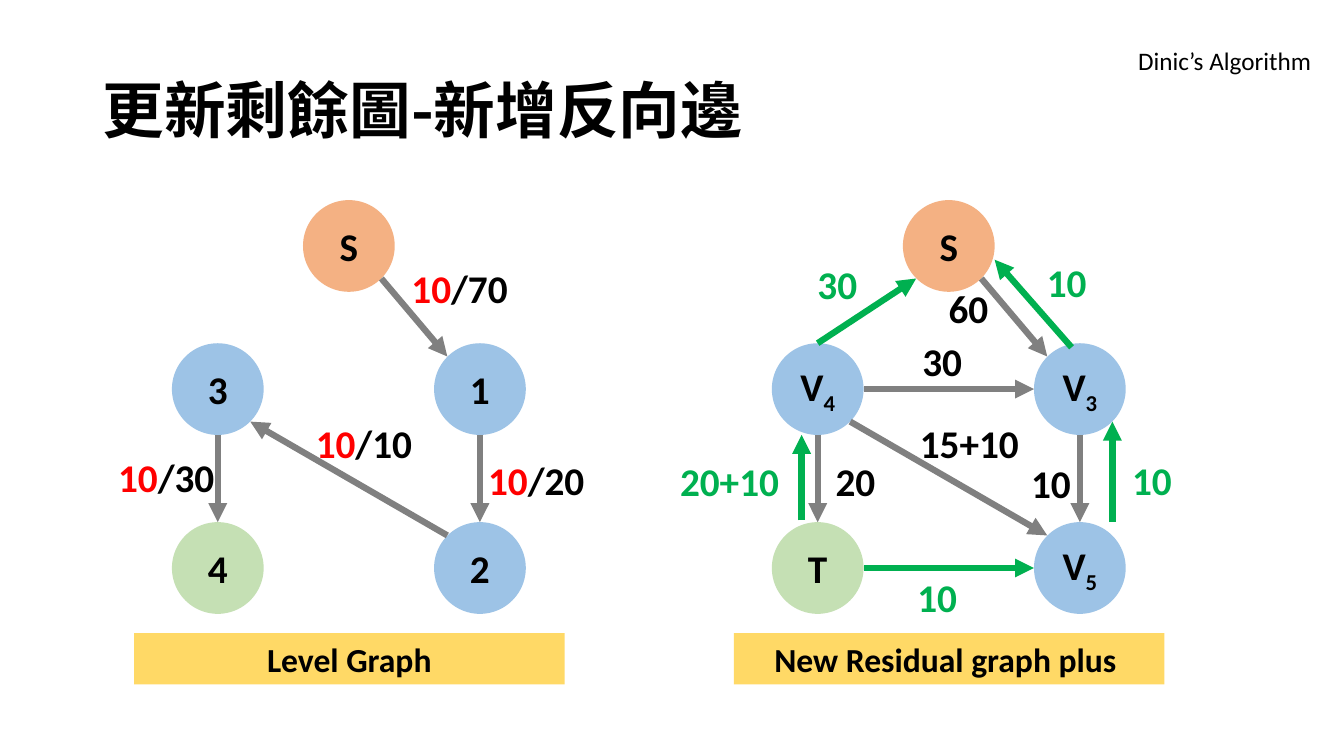
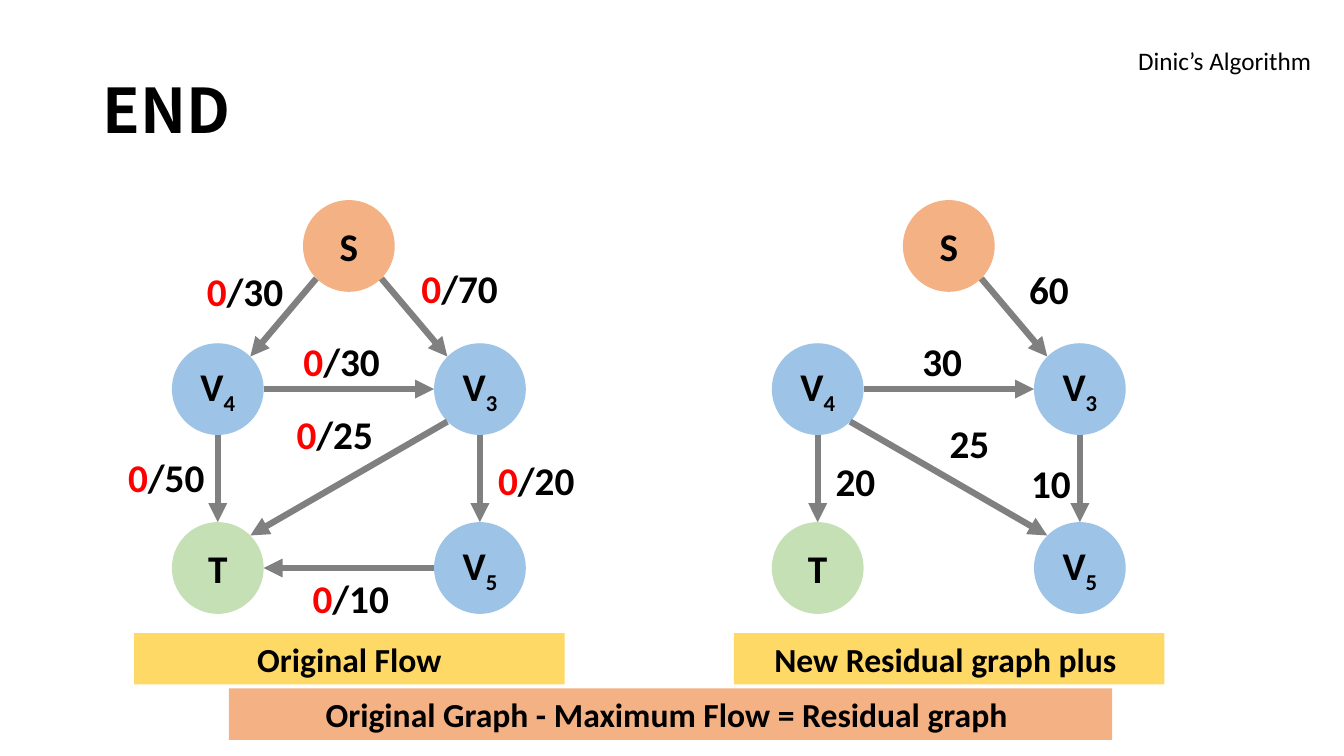
from dataclasses import dataclass

from lxml.etree import SubElement
from pptx import Presentation
from pptx.dml.color import RGBColor
from pptx.enum.shapes import MSO_CONNECTOR, MSO_SHAPE
from pptx.enum.text import MSO_ANCHOR, PP_ALIGN
from pptx.oxml.ns import qn
from pptx.util import Inches, Pt


@dataclass(frozen=True)
class Theme:
    """Colours, fonts and type sizes shared by the slides."""
    ink: str = "000000"
    flow: str = "FF0000"
    edge: str = "808080"
    back: str = "00B050"
    peach: str = "F4B183"
    blue: str = "9DC3E6"
    green: str = "C5E0B4"
    gold: str = "FFD966"
    font: str = "Calibri"
    head: str = "Noto Sans CJK SC"
    title: int = 44
    label: int = 28
    band: int = 24
    note: int = 18
    line: float = 4.5


T = Theme()
WIDE, HIGH = 13.33, 7.5

# Graph grid: the first node column of each panel, and the first node row.
PANELS = (2.16, 8.11)
TOP, COL, ROW, RADIUS = 2.44, 0.325, 0.355, 0.455
SPOTS = {"top": (4, 0), "left": (0, 4), "right": (8, 4),
         "sink": (0, 9), "base": (8, 9)}
FILLS = {"top": T.peach, "left": T.blue, "right": T.blue,
         "sink": T.green, "base": T.blue}

# Ports on a node, in radii from its centre.
N, S, W, E = (0, -1), (0, 1), (-1, 0), (1, 0)
NW, NE, SW, SE = (-0.71, -0.71), (0.71, -0.71), (-0.71, 0.71), (0.71, 0.71)

NAMES = ("S", "V4", "V3", "T", "V5")
LEVELS = ("S", "3", "1", "4", "2")

# Edge: start, port, end, port, label, label column, label row.
LEVEL = [
    ("top", SE, "right", NW, "10/70", 7.38, 1.19),
    ("right", S, "base", N, "10/20", 9.72, 6.53),
    ("base", NW, "left", SE, "10/10", 4.46, 5.5),
    ("left", S, "sink", N, "10/30", -1.57, 6.47),
]
FLOW = [
    ("top", SW, "left", NE, "0/30", 0.83, 1.27),
    ("top", SE, "right", NW, "0/70", 7.38, 1.19),
    ("left", E, "right", W, "0/30", 3.78, 3.22),
    ("right", SW, "sink", NE, "0/25", 3.57, 5.25),
    ("left", S, "sink", N, "0/50", -1.57, 6.47),
    ("right", S, "base", N, "0/20", 9.72, 6.53),
    ("base", W, "sink", E, "0/10", 4.06, 9.84),
]
REST = [
    ("left", E, "right", W, "30", 3.8, 3.22),
    ("left", S, "sink", N, "20", 1.15, 6.58),
    ("right", S, "base", N, "10", 7.12, 6.63),
]
BACK = [
    ("left", N, "top", SW, "30", 0.6, 1.07),
    ("right", (-0.18, -0.91), "top", (1, 0.3), "10", 7.6, 1),
    ("sink", (-0.35, -1.04), "left", (-0.35, 1), "20+10", -2.69, 6.58),
    ("base", (0.71, -1), "right", SE, "10", 10.2, 6.53),
    ("sink", E, "base", W, "10", 3.65, 9.81),
]


def rest(drop, sum_, col, row):
    """List residual edges, with the two labels that change."""
    return REST + [("top", SE, "right", NW, drop, col, row),
                   ("left", SE, "base", NW, sum_, 4.63, 5.5)]


def write(shape, text, size, bold=True, font=T.font, align=PP_ALIGN.CENTER):
    """Put one line of text in a shape and style it."""
    shape.text_frame.text = text
    para = shape.text_frame.paragraphs[0]
    para.alignment = align
    style(para.runs[0], size, bold, font)
    return para


def style(run, size, bold=True, font=T.font, color=T.ink):
    """Set the font, size and colour of a run."""
    face = run.font
    face.name, face.size, face.bold = font, Pt(size), bold
    face.color.rgb = RGBColor.from_string(color)
    SubElement(run._r.get_or_add_rPr(), qn("a:ea")).set("typeface", font)


def tail(para, text, size):
    """Add a second run to a label."""
    run = para.add_run()
    run.text = text
    style(run, size)
    return run


def block(slide, kind, box, fill):
    """Draw a plain filled shape."""
    shape = slide.shapes.add_shape(kind, *map(Inches, box))
    shape.shadow.inherit = False
    shape.fill.solid()
    shape.fill.fore_color.rgb = RGBColor.from_string(fill)
    shape.line.fill.background()
    shape.text_frame.vertical_anchor = MSO_ANCHOR.MIDDLE
    shape.text_frame.word_wrap = False
    return shape


def band(slide, left, top, width, text, fill=T.gold):
    """Draw a caption band."""
    shape = block(slide, MSO_SHAPE.RECTANGLE, (left, top, width, 0.51), fill)
    write(shape, text, T.band)


def place(panel, spot, port=(0, 0)):
    """Give the point of a port, or of a grid cell, in a panel."""
    col, row = spot
    return (PANELS[panel] + col * COL + port[0] * RADIUS,
            TOP + row * ROW + port[1] * RADIUS)


def node(slide, panel, key, name):
    """Draw a graph node; digits after a letter are lowered."""
    x, y = place(panel, SPOTS[key], (-1, -1))
    box = (x, y, 2 * RADIUS, 2 * RADIUS)
    shape = block(slide, MSO_SHAPE.OVAL, box, FILLS[key])
    para = write(shape, name[0], T.label)
    if name[1:]:
        run = tail(para, name[1:], T.label)
        run._r.get_or_add_rPr().set("baseline", "-25000")


def arrow(slide, start, end, color):
    """Draw an arrow between two points."""
    line = slide.shapes.add_connector(
        MSO_CONNECTOR.STRAIGHT, *map(Inches, start + end))
    line.line.width = Pt(T.line)
    line.line.color.rgb = RGBColor.from_string(color)
    SubElement(line.line._get_or_add_ln(), qn("a:tailEnd")).set(
        "type", "triangle")
    SubElement(line._element.spPr, qn("a:effectLst"))


def label(slide, point, text, color):
    """Write an edge label; the flow before a slash is marked."""
    used, slash, cap = text.partition("/")
    wide = 0.2 + 0.2 * len(text)
    x, y = point
    box = slide.shapes.add_textbox(
        *map(Inches, (x - wide / 2, y - 0.285, wide, 0.57)))
    box.text_frame.word_wrap = False
    para = write(box, used, T.label)
    para.runs[0].font.color.rgb = RGBColor.from_string(
        T.flow if slash else color)
    if slash:
        tail(para, slash + cap, T.label)


def links(slide, panel, edges, line=T.edge, color=T.ink):
    """Draw a set of edges and then their labels."""
    for start, out, end, into, *_ in edges:
        arrow(slide, place(panel, SPOTS[start], out),
              place(panel, SPOTS[end], into), line)
    for *_, text, col, row in edges:
        label(slide, place(panel, (col, row)), text, color)


def graph(slide, panel, names, edges, text):
    """Draw nodes, edges and the caption of a panel."""
    for key, name in zip(SPOTS, names):
        node(slide, panel, key, name)
    links(slide, panel, edges)
    band(slide, PANELS[panel] - 0.83, 6.28, 4.27, text)


def page(deck, title):
    """Add a slide with its title and running note."""
    slide = deck.slides.add_slide(deck.slide_layouts[6])
    head = slide.shapes.add_textbox(*map(Inches, (0.92, 0.4, 11.5, 1.45)))
    head.text_frame.word_wrap = True
    head.text_frame.vertical_anchor = MSO_ANCHOR.MIDDLE
    para = write(head, title, T.title, font=T.head, align=PP_ALIGN.LEFT)
    para.line_spacing = 0.9
    note = slide.shapes.add_textbox(*map(Inches, (11.19, 0.4, 1.94, 0.4)))
    note.text_frame.word_wrap = False
    write(note, "Dinic’s Algorithm", T.note, False, align=PP_ALIGN.LEFT)
    return slide


def main():
    """Build and save the deck."""
    deck = Presentation()
    deck.slide_width, deck.slide_height = Inches(WIDE), Inches(HIGH)
    plus = "New Residual graph plus "

    slide = page(deck, "更新剩餘圖-新增反向邊")
    graph(slide, 0, LEVELS, LEVEL, "Level Graph")
    graph(slide, 1, NAMES, rest("60", "15+10", 4.6, 1.75), plus)
    links(slide, 1, BACK, T.back, T.back)

    slide = page(deck, "END")
    graph(slide, 0, NAMES, FLOW, "Original Flow")
    graph(slide, 1, NAMES, rest("60", "25", 7.06, 1.21), plus)
    band(slide, 2.27, 6.83, 8.76,
         "Original Graph - Maximum Flow = Residual graph ", T.peach)
    deck.save("out.pptx")


main()
